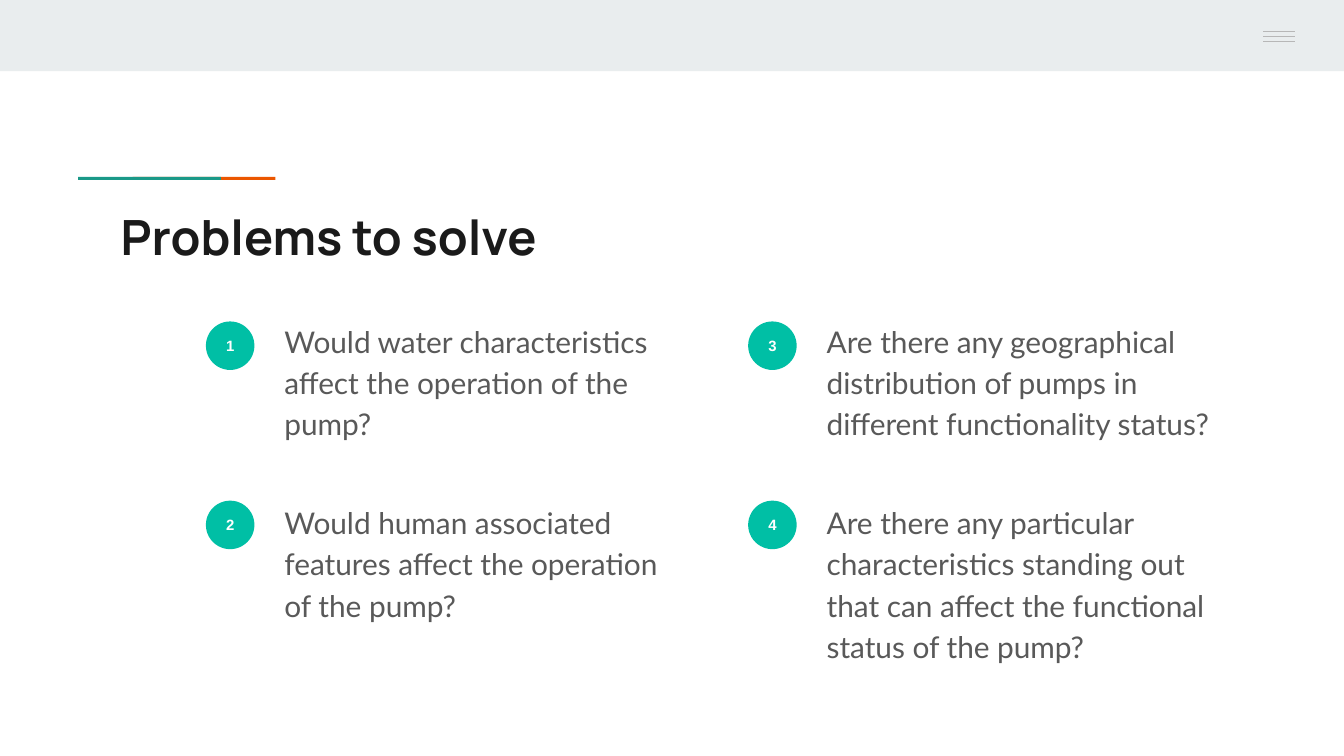
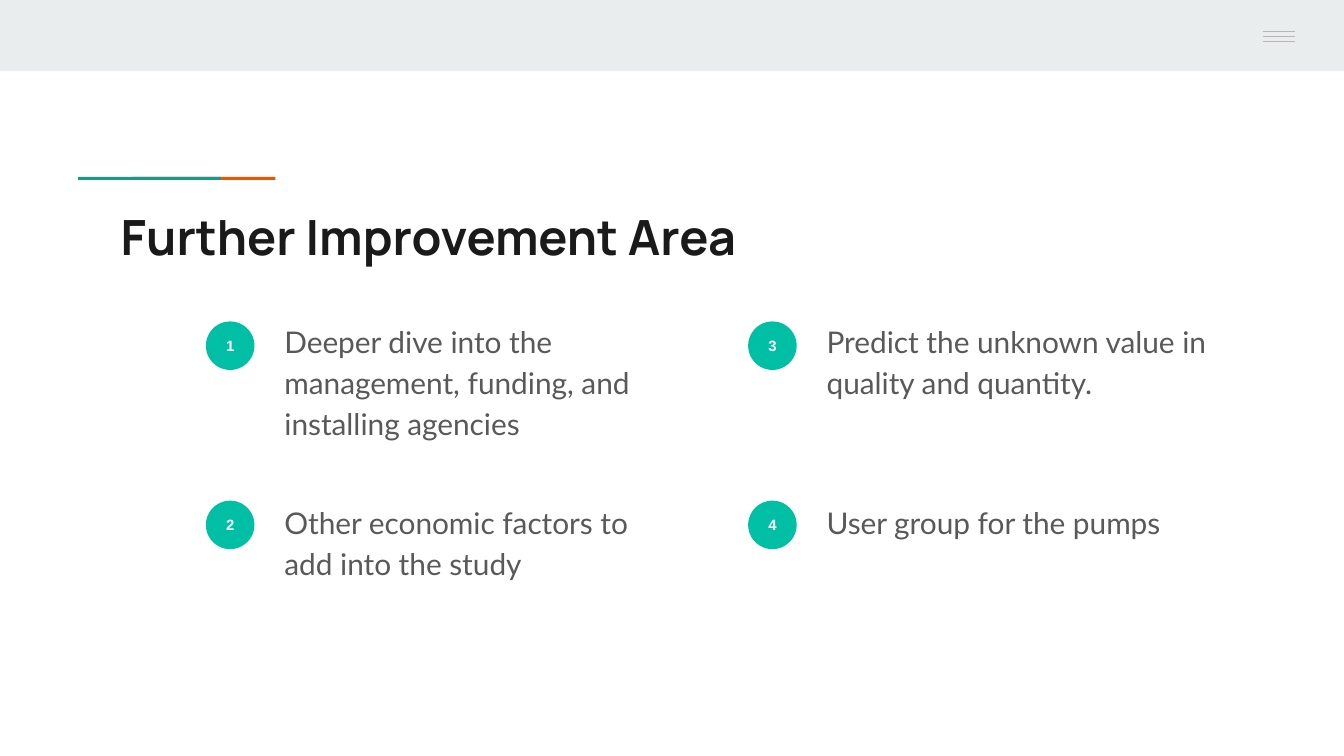
"""Build two slides that each list four numbered points."""
from dataclasses import dataclass

from pptx import Presentation
from pptx.dml.color import RGBColor
from pptx.enum.shapes import MSO_CONNECTOR, MSO_SHAPE
from pptx.enum.text import MSO_ANCHOR, PP_ALIGN
from pptx.oxml.ns import qn
from pptx.util import Pt

RECT, OVAL = MSO_SHAPE.RECTANGLE, MSO_SHAPE.OVAL
STRAIGHT = MSO_CONNECTOR.STRAIGHT
TOP, MIDDLE = MSO_ANCHOR.TOP, MSO_ANCHOR.MIDDLE
LEFT, CENTER = PP_ALIGN.LEFT, PP_ALIGN.CENTER

WHITE = RGBColor(0xFF, 0xFF, 0xFF)
BAND = RGBColor(0xE9, 0xED, 0xEE)
ORANGE = RGBColor(0xEB, 0x56, 0x00)
TEAL = RGBColor(0x1A, 0x99, 0x88)
MINT = RGBColor(0x00, 0xBF, 0xA5)
RULE = RGBColor(0xB7, 0xB7, 0xB7)
INK = RGBColor(0x1A, 0x1A, 0x1A)
BODY = RGBColor(0x59, 0x59, 0x59)

SLIDE_W, SLIDE_H = 720, 405
INSET = 7.2
ROWS = 2
BADGE_X, BADGE_Y, BADGE_SIZE = 110.3, 172.2, 26
COLUMN_STEP, BADGE_STEP = 290.5, 96
POINT_X, POINT_Y, POINT_STEP = 145.3, 163.4, 97
POINT_W, POINT_H = 223.2, 82.8
MENU_X, MENU_Y, MENU_W, MENU_STEP = 676.8, 17, 17.2, 2.65


@dataclass(frozen=True)
class Block:
    """A filled shape with its place in points."""
    x: float
    y: float
    w: float
    h: float
    fill: RGBColor
    kind: MSO_SHAPE = RECT


@dataclass(frozen=True)
class Page:
    """A title and its points, read down each column."""
    title: str
    points: tuple[str, ...]


FRAME = (
    Block(0, 0, SLIDE_W, 38.2, BAND),
    Block(71, 94.8, 76.5, 1.6, ORANGE),
    Block(41.8, 94.8, 76.5, 1.6, TEAL),
    Block(652.3, 0, 67.7, 36, BAND),
)

PAGES = (
    Page("Problems to solve", (
        "Would water characteristics affect the operation of the pump?",
        "Would human associated features affect the operation of the pump?",
        "Are there any geographical distribution of pumps in different functionality status?",
        "Are there any particular characteristics standing out that can affect "
        "the functional status of the pump?",
    )),
    Page("Further Improvement Area", (
        "Deeper dive into the management, funding, and installing agencies",
        "Other economic factors to add into the study",
        "Predict the unknown value in quality and quantity.",
        "User group for the pumps",
    )),
)


def write(sp, text: str, *, font: str, size: float, color: RGBColor, bold: bool = False,
          align: PP_ALIGN = LEFT, anchor: MSO_ANCHOR = TOP, spacing: float = 1.0) -> None:
    """Put one formatted paragraph into a shape."""
    tf = sp.text_frame
    tf.word_wrap = True
    tf.vertical_anchor = anchor
    tf.margin_left = tf.margin_right = tf.margin_top = tf.margin_bottom = Pt(INSET)
    p = tf.paragraphs[0]
    p.alignment, p.line_spacing = align, spacing
    r = p.add_run()
    r.text = text
    r.font.name, r.font.size, r.font.bold = font, Pt(size), bold
    r.font.color.rgb = color


def add_block(s, block: Block):
    """Draw a filled shape without outline or shadow."""
    sp = s.shapes.add_shape(block.kind, Pt(block.x), Pt(block.y), Pt(block.w), Pt(block.h))
    sp.shadow.inherit = False
    sp.fill.solid()
    sp.fill.fore_color.rgb = block.fill
    sp.line.fill.background()
    return sp


def add_text(s, x: float, y: float, w: float, h: float, text: str, **style) -> None:
    """Draw a text box."""
    write(s.shapes.add_textbox(Pt(x), Pt(y), Pt(w), Pt(h)), text, **style)


def add_frame(s) -> None:
    """Draw the band, accent bars and menu icon."""
    for block in FRAME:
        add_block(s, block)
    for i in range(3):
        y = Pt(MENU_Y + i * MENU_STEP)
        line = s.shapes.add_connector(STRAIGHT, Pt(MENU_X), y, Pt(MENU_X + MENU_W), y)
        line.line.color.rgb = RULE
        line.line.width = Pt(0.75)
        sppr = line._element.spPr
        sppr.append(sppr.makeelement(qn("a:effectLst"), {}))


def add_point(s, index: int, text: str) -> None:
    """Draw a numbered badge and its text in the grid."""
    col, row = divmod(index, ROWS)
    dx = col * COLUMN_STEP
    badge = add_block(s, Block(BADGE_X + dx, BADGE_Y + row * BADGE_STEP,
                               BADGE_SIZE, BADGE_SIZE, MINT, OVAL))
    write(badge, str(index + 1), font="Arial", size=8, color=WHITE, bold=True,
          align=CENTER, anchor=MIDDLE)
    add_text(s, POINT_X + dx, POINT_Y + row * POINT_STEP, POINT_W, POINT_H, text,
             font="Lato", size=16, color=BODY, spacing=1.15)


def add_page(prs, page: Page) -> None:
    """Build one slide."""
    s = prs.slides.add_slide(prs.slide_layouts[6])
    add_frame(s)
    add_text(s, 57.6, 103.7, 605.5, 42.5, page.title,
             font="Manrope", size=26, color=INK, bold=True)
    for index, text in enumerate(page.points):
        add_point(s, index, text)


def main() -> None:
    """Build and save the presentation."""
    prs = Presentation()
    prs.slide_width, prs.slide_height = Pt(SLIDE_W), Pt(SLIDE_H)
    for page in PAGES:
        add_page(prs, page)
    prs.save("out.pptx")


if __name__ == "__main__":
    main()
